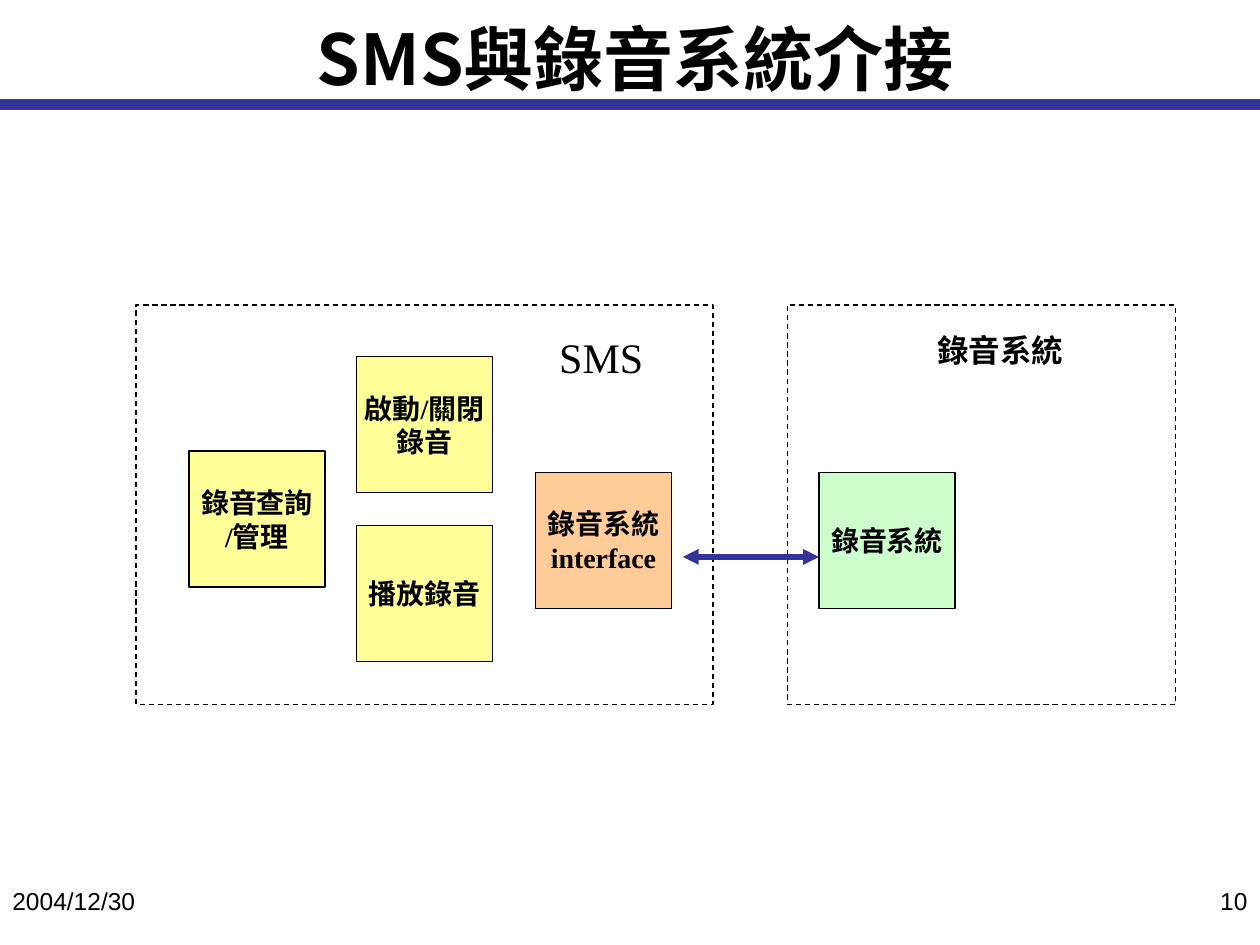
from dataclasses import dataclass

from lxml import etree
from pptx import Presentation
from pptx.dml.color import RGBColor
from pptx.enum.dml import MSO_LINE
from pptx.enum.shapes import MSO_CONNECTOR, MSO_SHAPE
from pptx.enum.text import MSO_ANCHOR, MSO_AUTO_SIZE, PP_ALIGN
from pptx.oxml.ns import qn
from pptx.util import Inches, Pt

RECT = MSO_SHAPE.RECTANGLE
STRAIGHT = MSO_CONNECTOR.STRAIGHT
DASH = MSO_LINE.DASH
LEFT, CENTER, RIGHT = PP_ALIGN.LEFT, PP_ALIGN.CENTER, PP_ALIGN.RIGHT
TOP, MIDDLE = MSO_ANCHOR.TOP, MSO_ANCHOR.MIDDLE
NO_FIT = MSO_AUTO_SIZE.NONE

SERIF, SANS, CJK = "Times New Roman", "Arial", "Noto Sans CJK SC"
COLORS = {
    "ink": "000000",
    "navy": "333399",
    "yellow": "FFFF99",
    "orange": "FFCC99",
    "green": "CCFFCC",
}
MODULE_SIZE = 1.08
FRAME_TOP, FRAME_HEIGHT = 2.42, 3.17


@dataclass
class Module:
    text: str
    left: float
    top: float
    fill: str


@dataclass
class Frame:
    left: float
    width: float


@dataclass
class Label:
    text: str
    left: float
    top: float
    width: float
    height: float
    size: int
    font: str = SERIF
    bold: bool = False
    align: PP_ALIGN = LEFT
    wrap: bool = False


MODULES = [
    Module("錄音系統\ninterface", 4.25, 3.75, "orange"),
    Module("錄音系統", 6.5, 3.75, "green"),
    Module("啟動/關閉\n錄音", 2.83, 2.83, "yellow"),
    Module("錄音查詢\n/管理", 1.5, 3.58, "yellow"),
    Module("播放錄音", 2.83, 4.17, "yellow"),
]
FRAMES = [Frame(1.08, 4.58), Frame(6.25, 3.08)]
LABELS = [
    Label("SMS", 4.34, 2.58, 0.86, 0.5, 24),
    Label("錄音系統", 7.34, 2.58, 1.2, 0.4, 18, bold=True, align=CENTER),
    Label("10", 7.67, 6.98, 2.33, 0.52, 14, SANS, align=RIGHT, wrap=True),
    Label("2004/12/30", 0, 6.98, 2.33, 0.52, 14, SANS, wrap=True),
]


def rgb(name: str) -> RGBColor:
    return RGBColor.from_string(COLORS[name])


def write(tf, text: str, *, size: int, font: str = SERIF, bold: bool = False,
          align: PP_ALIGN = CENTER, anchor: MSO_ANCHOR = MIDDLE,
          wrap: bool = False) -> None:
    tf.auto_size = NO_FIT
    tf.word_wrap = wrap
    tf.vertical_anchor = anchor
    for i, line in enumerate(text.split("\n")):
        p = tf.add_paragraph() if i else tf.paragraphs[0]
        p.alignment = align
        r = p.add_run()
        r.text = line
        r.font.size = Pt(size)
        r.font.bold = bold
        r.font.color.rgb = rgb("ink")
        r.font.name = font
        etree.SubElement(r.font._element, qn("a:ea"), typeface=CJK)


def add_box(s, left: float, top: float, width: float, height: float):
    sp = s.shapes.add_shape(RECT, Inches(left), Inches(top), Inches(width), Inches(height))
    sp.shadow.inherit = False
    sp.line.color.rgb = rgb("ink")
    sp.line.width = Pt(0.75)
    return sp


def add_module(s, module: Module) -> None:
    sp = add_box(s, module.left, module.top, MODULE_SIZE, MODULE_SIZE)
    sp.fill.solid()
    sp.fill.fore_color.rgb = rgb(module.fill)
    write(sp.text_frame, module.text, size=16, bold=True)


def add_frame(s, frame: Frame) -> None:
    sp = add_box(s, frame.left, FRAME_TOP, frame.width, FRAME_HEIGHT)
    sp.fill.background()
    sp.line.dash_style = DASH


def add_label(s, label: Label) -> None:
    sp = s.shapes.add_textbox(Inches(label.left), Inches(label.top),
                              Inches(label.width), Inches(label.height))
    write(sp.text_frame, label.text, size=label.size, font=label.font, bold=label.bold,
          align=label.align, anchor=TOP, wrap=label.wrap)


def add_rule(s, x1: float, x2: float, y: float, width: float, arrows: bool = False) -> None:
    line = s.shapes.add_connector(STRAIGHT, Inches(x1), Inches(y), Inches(x2), Inches(y))
    line.line.color.rgb = rgb("navy")
    line.line.width = Pt(width)
    if arrows:
        for end in ("a:headEnd", "a:tailEnd"):
            etree.SubElement(line.line._get_or_add_ln(), qn(end), type="triangle")
    etree.SubElement(line._element.spPr, qn("a:effectLst"))


def main() -> None:
    prs = Presentation()
    prs.slide_width, prs.slide_height = Inches(10), Inches(7.5)
    s = prs.slides.add_slide(prs.slide_layouts[5])

    title = s.shapes.title
    title.left, title.top = Inches(0.25), Inches(0)
    title.width, title.height = Inches(9.58), Inches(0.92)
    write(title.text_frame, "SMS與錄音系統介接", size=40, font=CJK, bold=True, wrap=True)

    add_rule(s, 0, 10, 0.83, 6)
    for frame in FRAMES:
        add_frame(s, frame)
    for module in MODULES:
        add_module(s, module)
    for label in LABELS:
        add_label(s, label)
    add_rule(s, 5.42, 6.5, 4.42, 3, arrows=True)

    prs.save("out.pptx")


if __name__ == "__main__":
    main()
